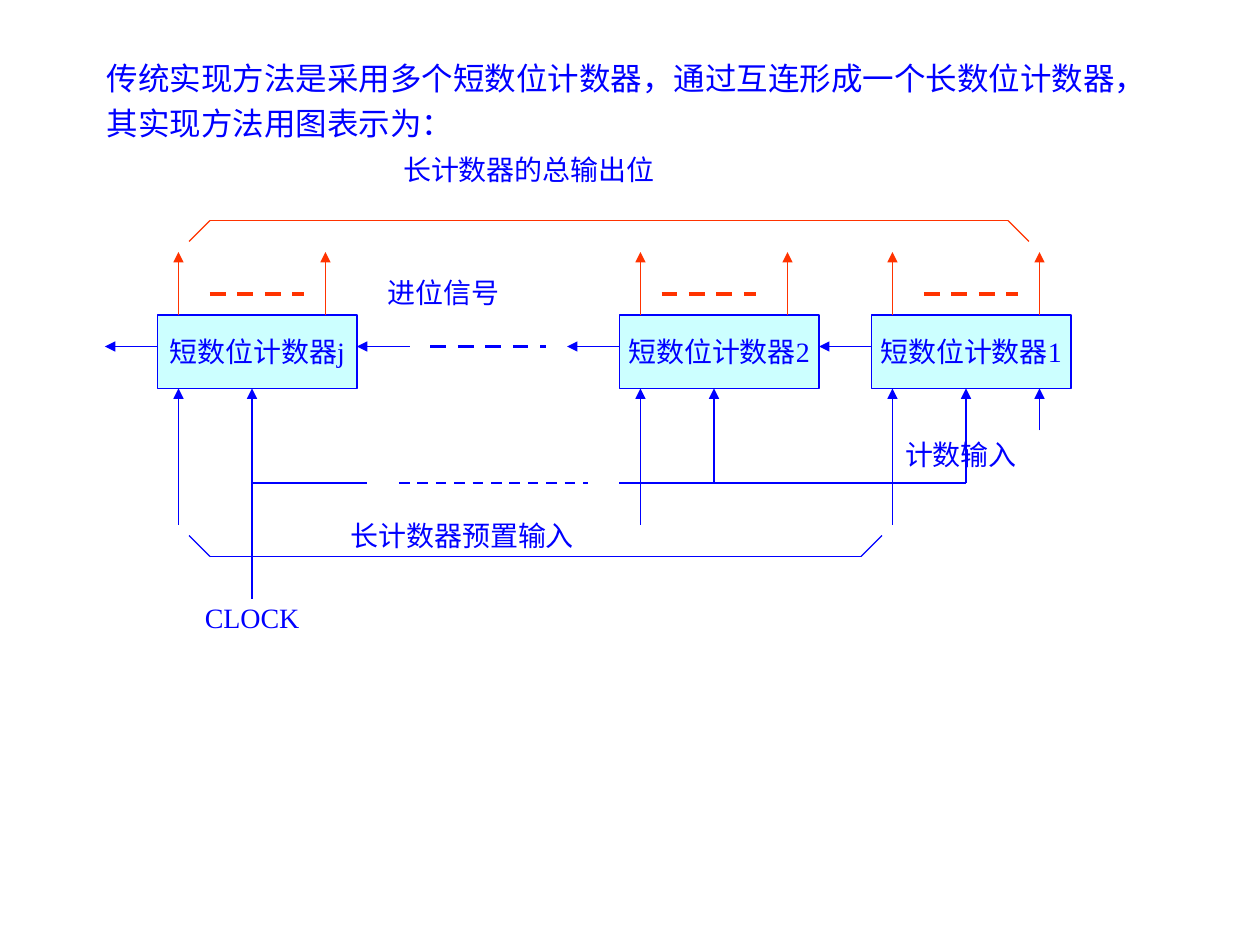
from dataclasses import dataclass
from itertools import pairwise

from lxml.etree import SubElement
from pptx import Presentation
from pptx.dml.color import RGBColor
from pptx.enum.dml import MSO_LINE_DASH_STYLE as Dash
from pptx.enum.shapes import MSO_CONNECTOR as Connector, MSO_SHAPE as Shape
from pptx.enum.text import MSO_ANCHOR as Anchor, PP_ALIGN as Align
from pptx.oxml.ns import qn
from pptx.util import Cm, Pt


@dataclass(frozen=True)
class Theme:
    font: str = "Times New Roman"
    blue: RGBColor = RGBColor(0x00, 0x00, 0xFF)
    red: RGBColor = RGBColor(0xFF, 0x33, 0x00)
    box_fill: RGBColor = RGBColor(0xCC, 0xFF, 0xFF)
    intro_size: int = 18
    label_size: int = 16
    thin: float = 0.75
    medium: float = 1.5
    thick: float = 2.25


@dataclass(frozen=True)
class Box:
    """A region measured in grid steps."""
    left: float
    top: float
    width: float
    height: float


THEME = Theme()
COUNTER_WIDTH, COUNTER_HEIGHT = 19, 7
PRESET_X, CLOCK_X, LAST_X = 2, 9, 16  # pin offsets inside a counter


def grid(steps):
    """Twelve grid steps make 2.54 cm."""
    return Cm(2.54 * steps / 12)


def style_text(text_frame, size):
    for paragraph in text_frame.paragraphs:
        for run in paragraph.runs:
            run.font.name = THEME.font
            run.font.size = Pt(size)
            run.font.color.rgb = THEME.blue


def add_line(slide, start, end, color=THEME.blue, width=THEME.thin,
             dashed=False, arrow=False):
    line = slide.shapes.add_connector(
        Connector.STRAIGHT, *(grid(value) for value in (*start, *end)))
    line.line.color.rgb = color
    line.line.width = Pt(width)
    if dashed:
        line.line.dash_style = Dash.DASH
    properties = line.line._get_or_add_ln()
    if arrow:
        SubElement(properties, qn("a:tailEnd"), type="triangle")
    SubElement(properties.getparent(), qn("a:effectLst"))


def add_intro(slide, box):
    text_box = slide.shapes.add_textbox(
        grid(box.left), grid(box.top), grid(box.width), grid(box.height))
    text_frame = text_box.text_frame
    text_frame.word_wrap = True
    text_frame.text = ("传统实现方法是采用多个短数位计数器，通过互连形成一个长数位计数器，\n"
                       "其实现方法用图表示为：")
    text_frame.paragraphs[1].space_before = Pt(4.5)
    style_text(text_frame, THEME.intro_size)


def add_label(slide, text, box):
    label = slide.shapes.add_textbox(
        grid(box.left), grid(box.top), grid(box.width), grid(box.height))
    text_frame = label.text_frame
    text_frame.margin_left = text_frame.margin_right = 0
    text_frame.margin_top = text_frame.margin_bottom = 0
    text_frame.vertical_anchor = Anchor.MIDDLE
    text_frame.word_wrap = True
    text_frame.text = text
    style_text(text_frame, THEME.label_size)


def add_counter(slide, text, box, dash_x, clock_length):
    """A counter with its outputs, carry, preset and clock lines."""
    shape = slide.shapes.add_shape(
        Shape.RECTANGLE, grid(box.left), grid(box.top), grid(box.width), grid(box.height))
    shape.shadow.inherit = False
    shape.fill.solid()
    shape.fill.fore_color.rgb = THEME.box_fill
    shape.line.color.rgb = THEME.blue
    shape.line.width = Pt(THEME.thin)
    text_frame = shape.text_frame
    text_frame.word_wrap = False
    text_frame.vertical_anchor = Anchor.MIDDLE
    text_frame.text = text
    text_frame.paragraphs[0].alignment = Align.CENTER
    style_text(text_frame, THEME.label_size)

    # Outputs
    left, top, bottom = box.left, box.top, box.top + box.height
    for pin in (PRESET_X, LAST_X):
        add_line(slide, (left + pin, top), (left + pin, top - 6), THEME.red, arrow=True)
    add_line(slide, (left + dash_x, top - 2), (left + dash_x + 9, top - 2),
             THEME.red, THEME.thick, dashed=True)

    # Carry, preset and clock
    add_line(slide, (left, top + 3), (left - 5, top + 3), arrow=True)
    for pin, length in ((PRESET_X, 13), (CLOCK_X, clock_length)):
        add_line(slide, (left + pin, bottom + length), (left + pin, bottom), arrow=True)


def add_bracket(slide, box, color, opens_down):
    """A flat bracket with slanted ends."""
    right, bottom = box.left + box.width, box.top + box.height
    flat, tip = (box.top, bottom) if opens_down else (bottom, box.top)
    points = [(box.left, tip), (box.left + 2, flat), (right - 2, flat), (right, tip)]
    for start, end in pairwise(points):
        add_line(slide, start, end, color)


def add_diagram(slide, box):
    left, top = box.left, box.top
    counter_top = top + 9
    counter_bottom = counter_top + COUNTER_HEIGHT

    # Counters
    counters = (("短数位计数器1", 68, 5, 9), ("短数位计数器2", 44, 4, 9),
                ("短数位计数器j", 0, 5, 20))
    for text, x, dash_x, clock_length in counters:
        add_counter(slide, text,
                    Box(left + x, counter_top, COUNTER_WIDTH, COUNTER_HEIGHT),
                    dash_x, clock_length)

    # Carry between counters, and the count input
    carry_y = counter_top + 3
    add_line(slide, (left + 24, carry_y), (left + 19, carry_y), arrow=True)
    add_line(slide, (left + 26, carry_y), (left + 37, carry_y),
             width=THEME.thick, dashed=True)
    input_x = left + 68 + LAST_X
    add_line(slide, (input_x, counter_bottom + 4), (input_x, counter_bottom), arrow=True)

    # Clock bus
    bus_y = counter_bottom + 9
    add_line(slide, (left + CLOCK_X, bus_y), (left + 20, bus_y))
    add_line(slide, (left + 23, bus_y), (left + 41, bus_y),
             width=THEME.medium, dashed=True)
    add_line(slide, (left + 44, bus_y), (left + 68 + CLOCK_X, bus_y))

    # Brackets over the outputs and under the presets
    add_bracket(slide, Box(left + 3, top, 80, 2), THEME.red, opens_down=True)
    add_bracket(slide, Box(left + 3, top + 30, 66, 2), THEME.blue, opens_down=False)

    # Labels
    labels = (("长计数器的总输出位", 23.4, -6.9, 26), ("进位信号", 21.9, 4.8, 12),
              ("计数输入", 71.2, 20.3, 12), ("长计数器预置输入", 18.4, 28, 23),
              ("CLOCK", 4.5, 35.8, 10))
    for text, x, y, width in labels:
        add_label(slide, text, Box(left + x, top + y, width, 4))


def main():
    presentation = Presentation()
    presentation.slide_width, presentation.slide_height = Cm(25.4), Cm(19.05)
    slide = presentation.slides.add_slide(presentation.slide_layouts[6])
    add_intro(slide, Box(9, 5, 102, 9))
    add_diagram(slide, Box(15, 21, 87, 40))
    presentation.save("out.pptx")


if __name__ == "__main__":
    main()
